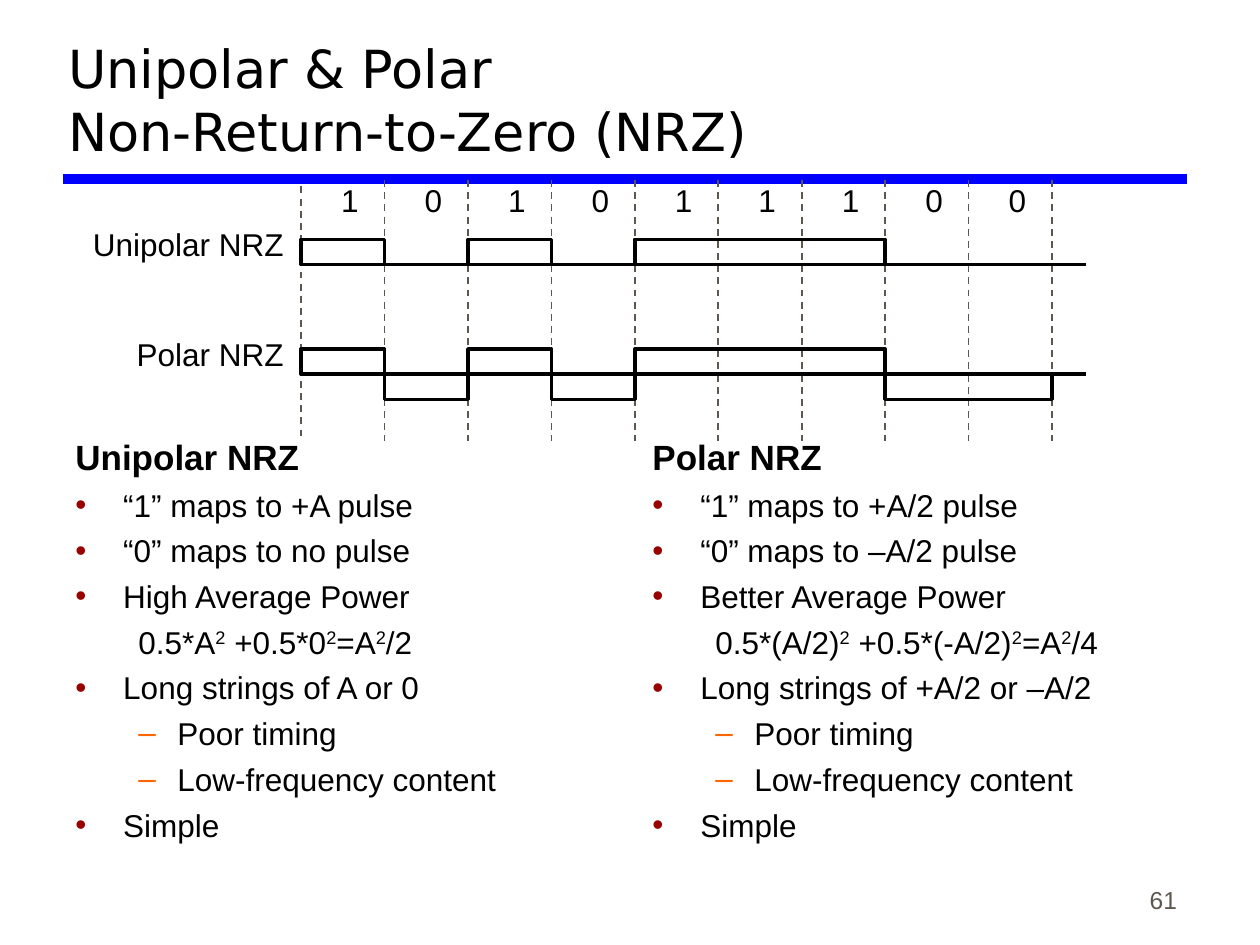
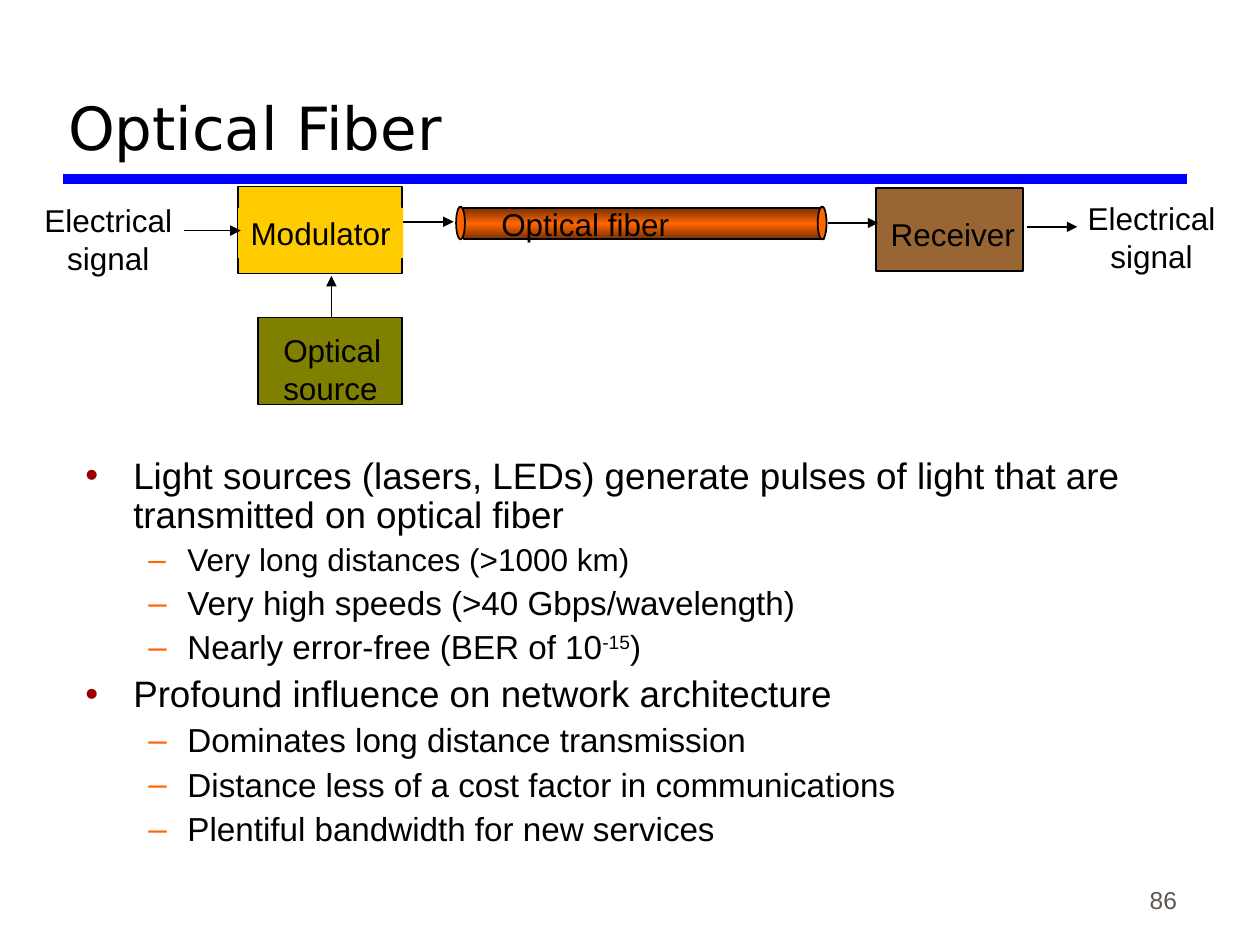
"""Build two lecture slides: NRZ line coding and optical fiber."""
from copy import deepcopy
from dataclasses import dataclass
from itertools import groupby
from typing import Any

from lxml import etree
from pptx import Presentation
from pptx.dml.color import RGBColor
from pptx.enum.dml import MSO_LINE
from pptx.enum.shapes import MSO_CONNECTOR, MSO_SHAPE
from pptx.enum.text import MSO_ANCHOR, MSO_AUTO_SIZE, PP_ALIGN
from pptx.oxml.ns import qn
from pptx.util import Inches, Pt

STRAIGHT = MSO_CONNECTOR.STRAIGHT
RECTANGLE, OVAL = MSO_SHAPE.RECTANGLE, MSO_SHAPE.OVAL
DASH = MSO_LINE.DASH
BOTTOM = MSO_ANCHOR.BOTTOM
FIXED, GROW = MSO_AUTO_SIZE.NONE, MSO_AUTO_SIZE.SHAPE_TO_FIT_TEXT
LEFT, CENTER, RIGHT = PP_ALIGN.LEFT, PP_ALIGN.CENTER, PP_ALIGN.RIGHT

BODY_FONT, TITLE_FONT = "Arial", "DejaVu Sans"
BLACK, GRAY, BLUE = "000000", "5E574E", "0000FF"
ORANGE, RUST, YELLOW = "FF6600", "762F00", "FFCC00"
MARKS = (("•", "990000"), ("–", ORANGE))
INDENTS = ((0.38, -0.38), (0.81, -0.31))

BITS = "101011100"
GRID_LEFT, GRID_RIGHT = 2.39, 8.35
BIT_WIDTH = (GRID_RIGHT - GRID_LEFT) / len(BITS)
PULSE_HEIGHT = 0.2
UNIPOLAR_AXIS, POLAR_AXIS = 2.1, 2.97


@dataclass(frozen=True)
class Area:
    """Place and size in inches."""
    left: float
    top: float
    width: float
    height: float

    def lengths(self) -> tuple[int, ...]:
        """Return the four values as lengths."""
        return tuple(Inches(v) for v in (self.left, self.top, self.width, self.height))


@dataclass(frozen=True)
class Label:
    """Short diagram text, one paragraph per line."""
    text: str
    area: Area
    align: Any = LEFT
    fill: str = ""
    wrap: bool = False


@dataclass(frozen=True)
class Item:
    """One outline paragraph; text between carets is superscript."""
    text: str
    level: int = 0
    size: float = 18
    marked: bool = True
    bold: bool = False


@dataclass(frozen=True)
class Stage:
    """One filled block of the fiber link."""
    area: Area
    fill: str


@dataclass(frozen=True)
class Line:
    """A straight line between two points."""
    start: tuple[float, float]
    end: tuple[float, float]
    color: str = BLACK
    width: float = 1
    dashed: bool = False
    arrow: bool = False


TITLE_AREA = Area(0.44, 0.17, 8.97, 1.17)
NUMBER_AREA = Area(7.36, 6.81, 2.08, 0.5)
BAND = Line((0.5, 1.42), (9.42, 1.42), BLUE, 6)


def rgb(color: str) -> RGBColor:
    """Turn a hex string into a colour."""
    return RGBColor.from_string(color)


def apply(target: Any, values: dict[str, Any]) -> None:
    """Set every named attribute on the target."""
    for name, value in values.items():
        setattr(target, name, value)


def style_font(font: Any, size: float, color: str = BLACK,
               face: str = BODY_FONT, bold: bool = False) -> None:
    """Format one font."""
    apply(font, {"size": Pt(size), "name": face, "bold": bold})
    font.color.rgb = rgb(color)


def draw_line(slide: Any, line: Line) -> None:
    """Draw a plain, dashed or arrowed line."""
    ends = [Inches(v) for v in line.start + line.end]
    connector = slide.shapes.add_connector(STRAIGHT, *ends)
    connector.line.width = Pt(line.width)
    connector.line.color.rgb = rgb(line.color)
    if line.dashed:
        connector.line.dash_style = DASH
    properties = connector.element.spPr
    if line.arrow:
        etree.SubElement(properties.find(qn("a:ln")), qn("a:tailEnd"), type="triangle")
    etree.SubElement(properties, qn("a:effectLst"))


def draw_shape(slide: Any, preset: Any, area: Area, fill: str = "", width: float = 1) -> Any:
    """Draw a black-outlined shape, hollow unless a fill is given."""
    shape = slide.shapes.add_shape(preset, *area.lengths())
    shape.shadow.inherit = False
    if fill:
        shape.fill.solid()
        shape.fill.fore_color.rgb = rgb(fill)
    else:
        shape.fill.background()
    shape.line.width = Pt(width)
    shape.line.color.rgb = rgb(BLACK)
    return shape


def draw_label(slide: Any, label: Label) -> None:
    """Write a diagram label."""
    box = slide.shapes.add_textbox(*label.area.lengths())
    if label.fill:
        box.fill.solid()
        box.fill.fore_color.rgb = rgb(label.fill)
    frame = box.text_frame
    apply(frame, {"word_wrap": label.wrap, "auto_size": GROW, "text": label.text})
    for paragraph in frame.paragraphs:
        paragraph.alignment = label.align
        style_font(paragraph.runs[0].font, 18)


def set_bullet(paragraph: Any, item: Item) -> None:
    """Set the indent and mark of an outline paragraph."""
    margin, hanging = INDENTS[item.level]
    properties = paragraph._p.get_or_add_pPr()
    properties.set("marL", str(Inches(margin)))
    properties.set("indent", str(Inches(hanging)))
    if not item.marked:
        etree.SubElement(properties, qn("a:buNone"))
        return
    mark, color = MARKS[item.level]
    tint = etree.SubElement(properties, qn("a:buClr"))
    etree.SubElement(tint, qn("a:srgbClr"), val=color)
    etree.SubElement(properties, qn("a:buFont"), typeface=BODY_FONT)
    etree.SubElement(properties, qn("a:buChar"), char=mark)


def draw_outline(slide: Any, area: Area, items: list[Item], spacing: float = 1.0) -> None:
    """Write a bulleted outline."""
    frame = slide.shapes.add_textbox(*area.lengths()).text_frame
    apply(frame, {"word_wrap": True, "auto_size": FIXED})
    for index, item in enumerate(items):
        paragraph = frame.add_paragraph() if index else frame.paragraphs[0]
        apply(paragraph, {"level": item.level, "line_spacing": spacing,
                          "space_before": Pt(item.size / 4)})
        set_bullet(paragraph, item)
        for position, text in enumerate(item.text.split("^")):
            run = paragraph.add_run()
            run.text = text
            style_font(run.font, item.size, bold=item.bold)
            if position % 2:
                run.font._element.set("baseline", "30000")


def start_slide(deck: Any, title: str, size: int, number: int) -> Any:
    """Add a slide with its band, number and title."""
    slide = deck.slides.add_slide(deck.slide_layouts[5])
    draw_line(slide, BAND)
    footer = slide.shapes.add_textbox(*NUMBER_AREA.lengths()).text_frame
    apply(footer, {"word_wrap": True, "auto_size": FIXED,
                   "vertical_anchor": BOTTOM, "text": str(number)})
    footer.paragraphs[0].alignment = RIGHT
    style_font(footer.paragraphs[0].runs[0].font, 14, GRAY)

    heading = slide.shapes.title
    apply(heading, dict(zip(("left", "top", "width", "height"), TITLE_AREA.lengths())))
    apply(heading.text_frame, {"auto_size": FIXED, "vertical_anchor": BOTTOM})
    paragraph = heading.text_frame.paragraphs[0]
    apply(paragraph, {"text": title, "alignment": LEFT})
    for run in paragraph.runs:
        style_font(run.font, size, face=TITLE_FONT)
    for line_break in paragraph._p.findall(qn("a:br")):
        etree.SubElement(line_break, qn("a:rPr"), sz=str(size * 100))
    return slide


def draw_signal(slide: Any, axis: float, polar: bool) -> None:
    """Draw the pulses of the bit pattern along a time axis."""
    draw_line(slide, Line((GRID_LEFT, axis), (8.62, axis), width=2))
    start = 0
    for bit, group in groupby(BITS):
        length = len(list(group))
        if bit == "1" or polar:
            top = axis - PULSE_HEIGHT if bit == "1" else axis
            pulse = Area(GRID_LEFT + start * BIT_WIDTH, top, length * BIT_WIDTH, PULSE_HEIGHT)
            draw_shape(slide, RECTANGLE, pulse, width=2)
        start += length


def code_items(name: str, one: str, zero: str, power: str,
               formula: str, strings: str) -> list[Item]:
    """List the properties of one line code."""
    return [
        Item(name, size=20, marked=False, bold=True),
        Item(f"“1” maps to {one} pulse"),
        Item(f"“0” maps to {zero} pulse"),
        Item(f"{power} Average Power"),
        Item(formula, 1, marked=False),
        Item(f"Long strings of {strings}"),
        Item("Poor timing", 1),
        Item("Low-frequency content", 1),
        Item("Simple"),
    ]


def build_nrz(deck: Any) -> None:
    """Build the line coding slide."""
    slide = start_slide(deck, "Unipolar & Polar \nNon-Return-to-Zero (NRZ)", 30, 61)
    draw_outline(slide, Area(0.5, 3.41, 4.44, 4.05), code_items(
        "Unipolar NRZ", "+A", "no", "High", "0.5*A^2^ +0.5*0^2^=A^2^/2", "A or 0"))
    draw_outline(slide, Area(5.08, 3.41, 4.44, 4.05), code_items(
        "Polar NRZ", "+A/2", "–A/2", "Better",
        "0.5*(A/2)^2^ +0.5*(-A/2)^2^=A^2^/4", "+A/2 or –A/2"))
    for index in range(len(BITS) + 1):
        x = GRID_LEFT + index * BIT_WIDTH
        top = 1.43 if index else 1.48
        draw_line(slide, Line((x, top), (x, 3.5), GRAY, dashed=True))
    for index, bit in enumerate(BITS):
        left = GRID_LEFT + 0.22 + index * BIT_WIDTH
        draw_label(slide, Label(bit, Area(left, 1.39, 0.36, 0.4)))
    draw_signal(slide, UNIPOLAR_AXIS, polar=False)
    draw_signal(slide, POLAR_AXIS, polar=True)
    for text, axis in (("Unipolar NRZ", UNIPOLAR_AXIS), ("Polar NRZ", POLAR_AXIS)):
        draw_label(slide, Label(text, Area(0.55, axis - 0.36, 1.8, 0.4), RIGHT, wrap=True))


def draw_fiber(slide: Any) -> None:
    """Draw the fiber as a shaded tube with two round ends."""
    tube = draw_shape(slide, RECTANGLE, Area(3.68, 1.65, 2.86, 0.25))
    tube.fill.gradient()
    tube.fill.gradient_angle = 90
    stop_list = tube.element.spPr.find(qn("a:gradFill")).find(qn("a:gsLst"))
    stop_list.insert(1, deepcopy(stop_list[0]))
    for stop, position, color in zip(tube.fill.gradient_stops, (0, 0.5, 1), (RUST, ORANGE, RUST)):
        stop.position = position
        stop.color.rgb = rgb(color)
    for left in (3.62, 6.49):
        draw_shape(slide, OVAL, Area(left, 1.64, 0.07, 0.26), ORANGE)


def build_fiber(deck: Any) -> None:
    """Build the optical fiber slide."""
    slide = start_slide(deck, "Optical Fiber", 34, 86)
    draw_outline(slide, Area(0.58, 3.58, 9, 3.92), [
        Item("Light sources (lasers, LEDs) generate pulses of light that are "
             "transmitted on optical fiber", size=21),
        Item("Very long distances (>1000 km)", 1),
        Item("Very high speeds (>40 Gbps/wavelength)", 1, 19),
        Item("Nearly error-free (BER of 10^-15^)", 1, 19),
        Item("Profound influence on network architecture", size=21),
        Item("Dominates long distance transmission", 1, 19),
        Item("Distance less of a cost factor in communications", 1, 19),
        Item("Plentiful bandwidth for new services", 1, 19),
    ], 0.9)
    draw_fiber(slide)
    for stage in (Stage(Area(2.05, 2.52, 1.14, 0.69), "808000"),
                  Stage(Area(1.89, 1.48, 1.3, 0.69), YELLOW),
                  Stage(Area(6.95, 1.49, 1.17, 0.66), "996633")):
        draw_shape(slide, RECTANGLE, stage.area, stage.fill)
    for label in (Label("Optical fiber", Area(3.88, 1.58, 2.19, 0.4), wrap=True),
                  Label("Optical\nsource", Area(2.15, 2.58, 1.1, 0.7), wrap=True),
                  Label("Modulator", Area(1.89, 1.65, 1.31, 0.4), fill=YELLOW),
                  Label("Receiver", Area(6.97, 1.66, 1.3, 0.4), wrap=True),
                  Label("Electrical\nsignal", Area(0.16, 1.55, 1.4, 0.7), CENTER, wrap=True),
                  Label("Electrical\nsignal", Area(8.44, 1.53, 1.4, 0.7), CENTER, wrap=True)):
        draw_label(slide, label)
    for start, end in (((2.63, 2.52), (2.63, 2.19)), ((1.46, 1.83), (1.91, 1.83)),
                       ((3.2, 1.76), (3.6, 1.76)), ((6.57, 1.77), (6.97, 1.77)),
                       ((8.15, 1.8), (8.55, 1.8))):
        draw_line(slide, Line(start, end, arrow=True))


def main() -> None:
    """Build and save the deck."""
    deck = Presentation()
    apply(deck, {"slide_width": Inches(10), "slide_height": Inches(7.5)})
    build_nrz(deck)
    build_fiber(deck)
    deck.save("out.pptx")


if __name__ == "__main__":
    main()
